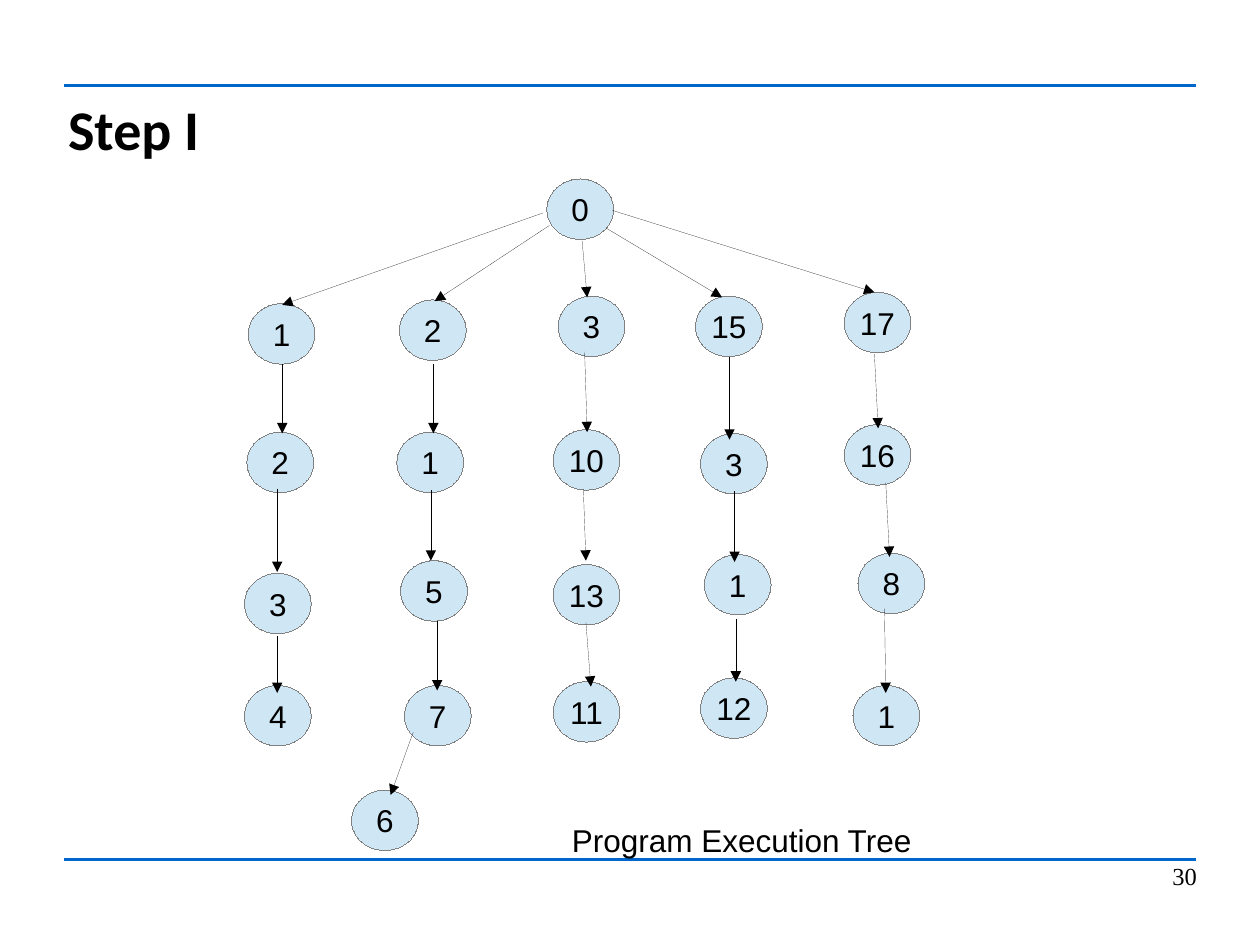
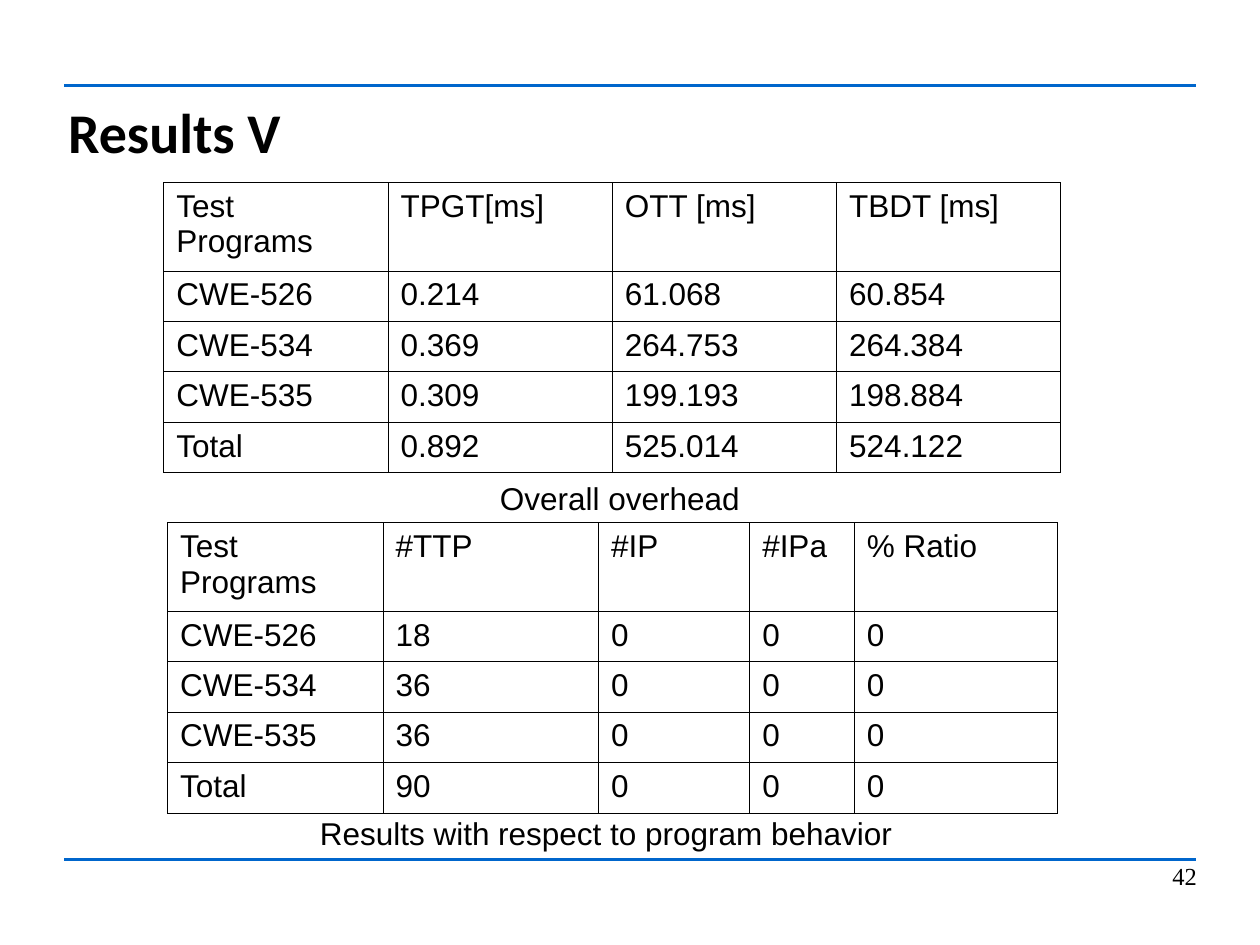
from dataclasses import dataclass
from lxml.etree import SubElement as Sub
from pptx import Presentation
from pptx.dml.color import RGBColor as RGB
from pptx.enum.shapes import MSO_CONNECTOR as Link, MSO_SHAPE as Shape
from pptx.enum.text import MSO_ANCHOR as Anchor, PP_ALIGN as Align
from pptx.oxml.ns import qn
from pptx.util import Inches, Pt


@dataclass(frozen=True)
class Theme:
    ink: str = "000000"
    rule: str = "0066CC"
    node: str = "CFE7F5"
    edge: str = "808080"
    head: tuple = ("Calibri", 32, True)
    body: tuple = ("Arial", 18, False)
    foot: tuple = ("Times New Roman", 14, False)
    grid: float = 0.57


theme = Theme()


def write(frame, text, style, align=Align.LEFT, inset=(0.1, 0.05)):
    """Fill a text frame or table cell with one styled paragraph."""
    side, top = (Inches(gap) for gap in inset)
    frame.margin_left = frame.margin_right = side
    frame.margin_top = frame.margin_bottom = top
    body = getattr(frame, "text_frame", frame)
    body.text = text
    para = body.paragraphs[0]
    para.alignment = align
    font = para.runs[0].font
    font.name, font.bold = style[0], style[2]
    font.size = Pt(style[1])
    font.color.rgb = RGB.from_string(theme.ink)


def draw(slide, ends, color, width=0, arrow=False):
    """Add a line; a width of 0 is written out, as the setter would drop it."""
    link = slide.shapes.add_connector(Link.STRAIGHT, *(Inches(n) for n in ends))
    link.line.color.rgb = RGB.from_string(color)
    pen = link._element.spPr.find(qn("a:ln"))
    pen.set("w", str(Pt(width)))
    if arrow:
        Sub(pen, qn("a:tailEnd"), type="triangle")
    Sub(link._element.spPr, qn("a:effectLst"))


deck = Presentation()
deck.slide_width, deck.slide_height = Inches(10), Inches(7.5)

# Frame shared by the slides: rules, title, page number
slides = []
for title, high, page in (("Step I", 0.54, "30"), ("Results V", 0.58, "42")):
    slide = deck.slides.add_slide(deck.slide_layouts[6])
    slides.append(slide)
    for y in (0.68, 6.82):
        draw(slide, (0.51, y, 9.49, y), theme.rule, 2)
    for text, spot, style, align, anchor in (
        (title, (0.54, 0.75, 8.92, high), theme.head, Align.LEFT, Anchor.MIDDLE),
        (page, (7.17, 6.83, 2.33, 0.52), theme.foot, Align.RIGHT, Anchor.TOP),
    ):
        frame = slide.shapes.add_textbox(*(Inches(n) for n in spot)).text_frame
        frame.word_wrap = True
        frame.vertical_anchor = anchor
        write(frame, text, style, align, (0, 0))
tree, results = slides

# Execution tree: label, left and top of each node, then the arrow into it
root = ("0", 4.34, 1.42, None)
chains = [
    [("1", 1.97, 2.41, (4.31, 1.69, 2.24, 2.42)),
     ("2", 1.96, 3.43, (2.24, 2.89, 2.24, 3.44)),
     ("3", 1.94, 4.55, (2.2, 3.88, 2.2, 4.54)),
     ("4", 1.94, 5.44, (2.2, 5.05, 2.2, 5.5))],
    [("2", 3.17, 2.38, (4.36, 1.79, 3.45, 2.39)),
     ("1", 3.15, 3.43, (3.44, 2.89, 3.44, 3.44)),
     ("5", 3.18, 4.45, (3.42, 3.89, 3.42, 4.45)),
     ("7", 3.21, 5.44, (3.47, 4.93, 3.47, 5.48)),
     ("6", 2.79, 6.27, (3.28, 5.81, 3.1, 6.31))],
    [("3", 4.43, 2.35, (4.62, 1.91, 4.66, 2.36)),
     ("10", 4.39, 3.41, (4.64, 2.79, 4.66, 3.43)),
     ("13", 4.39, 4.48, (4.63, 3.88, 4.65, 4.45)),
     ("11", 4.39, 5.41, (4.65, 4.94, 4.69, 5.45))],
    [("15", 5.52, 2.35, (4.81, 1.81, 5.73, 2.36)),
     ("3", 5.56, 3.44, (5.79, 2.83, 5.79, 3.49)),
     ("1", 5.59, 4.4, (5.83, 3.9, 5.83, 4.46)),
     ("12", 5.56, 5.38, (5.84, 4.91, 5.84, 5.41))],
    [("17", 6.7, 2.32, (4.86, 1.67, 6.94, 2.32)),
     ("16", 6.7, 3.37, (6.94, 2.81, 6.97, 3.4)),
     ("8", 6.81, 4.39, (7.03, 3.83, 7.06, 4.42)),
     ("1", 6.77, 5.44, (7.02, 4.83, 7.03, 5.5))],
]
nodes = [root] + [node for chain in chains for node in chain]
for label, x, y, _ in nodes:
    oval = tree.shapes.add_shape(
        Shape.OVAL, Inches(x), Inches(y), Inches(0.53), Inches(0.48))
    oval.shadow.inherit = False
    oval.fill.solid()
    oval.fill.fore_color.rgb = RGB.from_string(theme.node)
    oval.line.color.rgb = RGB.from_string(theme.edge)
    oval._element.spPr.find(qn("a:ln")).set("w", "0")
    frame = oval.text_frame
    frame.word_wrap = False
    frame.vertical_anchor = Anchor.MIDDLE
    write(frame, label, theme.body, Align.CENTER)
for *_, ends in nodes[1:]:
    draw(tree, ends, theme.ink, arrow=True)

# Result tables: place, column widths, alignment, rows
tables = [
    ((1.3, 1.45), [1.78] * 4, Align.JUSTIFY, [
        ("Test Programs", "TPGT[ms]", "OTT [ms]", "TBDT [ms]"),
        ("CWE-526", "0.214", "61.068", "60.854"),
        ("CWE-534", "0.369", "264.753", "264.384"),
        ("CWE-535", "0.309", "199.193", "198.884"),
        ("Total", "0.892", "525.014", "524.122")]),
    ((1.33, 4.15), [1.71, 1.71, 1.2, 0.83, 1.61], Align.LEFT, [
        ("Test Programs", "#TTP", "#IP", "#IPa", "% Ratio"),
        ("CWE-526", "18", "0", "0", "0"),
        ("CWE-534", "36", "0", "0", "0"),
        ("CWE-535", "36", "0", "0", "0"),
        ("Total", "90", "0", "0", "0")]),
]
for (x, y), widths, align, rows in tables:
    table = results.shapes.add_table(
        len(rows), len(widths), Inches(x), Inches(y),
        Inches(sum(widths)), Inches(2.19)).table
    table.first_row = table.horz_banding = False
    for col, wide in zip(table.columns, widths):
        col.width = Inches(wide)
    for r, row in enumerate(rows):
        table.rows[r].height = Inches(0.38 if r else 0.66)
        for c, text in enumerate(row):
            cell = table.cell(r, c)
            write(cell, text, theme.body, align)
            props = cell._tc.get_or_add_tcPr()
            for side in ("lnL", "lnR", "lnT", "lnB"):
                line = Sub(props, qn(f"a:{side}"), w=str(Pt(theme.grid)))
                Sub(Sub(line, qn("a:solidFill")), qn("a:srgbClr"), val=theme.ink)
            cell.fill.background()

# Captions, each wide enough for a single line
for slide, text, x, y, wide in (
    (tree, "Program Execution Tree", 4.44, 6.47, 3),
    (results, "Overall overhead", 3.87, 3.75, 2.2),
    (results, "Results with respect to program behavior", 2.44, 6.41, 4.85),
):
    frame = slide.shapes.add_textbox(
        Inches(x), Inches(y), Inches(wide), Inches(0.38)).text_frame
    frame.word_wrap = True
    write(frame, text, theme.body)

deck.save("out.pptx")
